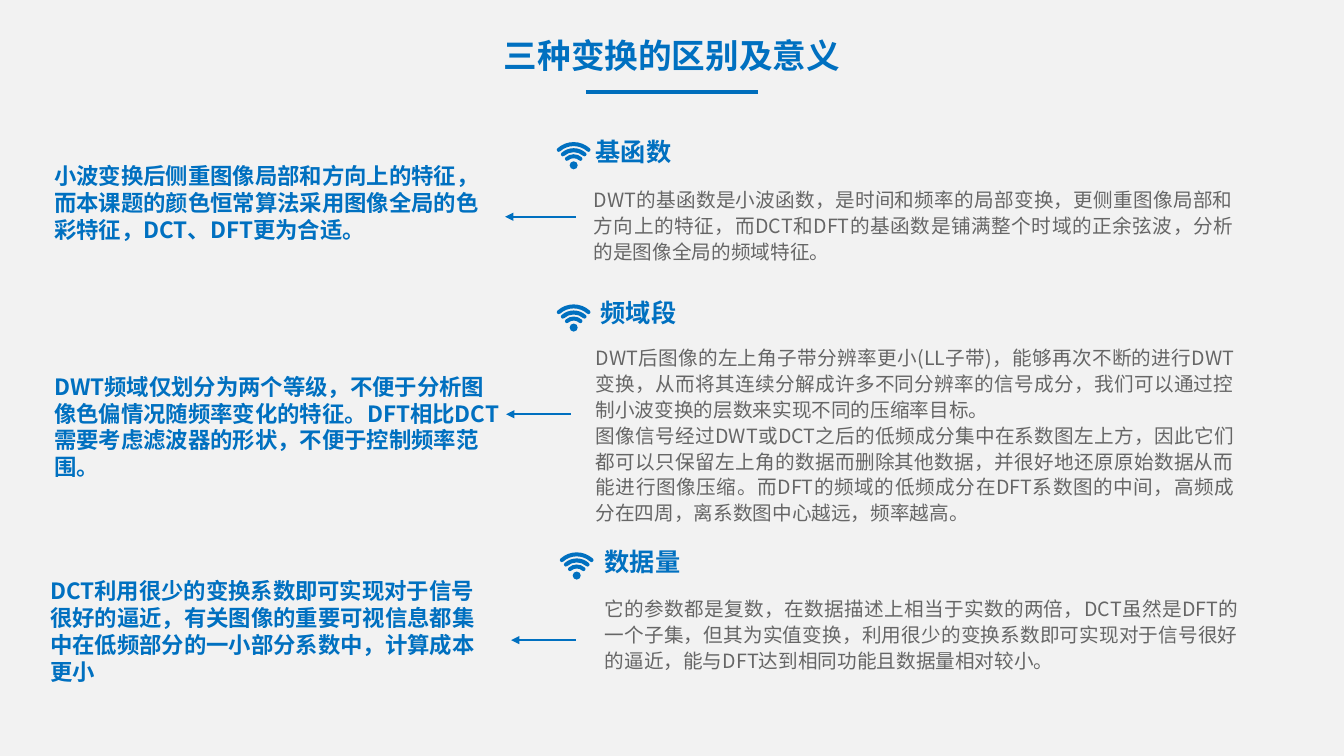
from math import cos, sin, tan, radians
from lxml.etree import SubElement
from pptx import Presentation
from pptx.dml.color import RGBColor
from pptx.enum.shapes import MSO_CONNECTOR, MSO_SHAPE
from pptx.enum.text import MSO_ANCHOR, PP_ALIGN
from pptx.oxml.ns import qn
from pptx.util import Inches, Pt

BLUE = RGBColor(0x00, 0x70, 0xC0)
RULE_BLUE = RGBColor(0x00, 0x6E, 0xBC)
GRAY = RGBColor(0x66, 0x66, 0x66)
BACKGROUND = RGBColor(0xF2, 0xF2, 0xF2)
FONT = "Noto Sans CJK SC"

TITLE = "三种变换的区别及意义"
SECTIONS = [
    {
        "heading": ("基函数", (5.81, 1.3, 2.14, 0.41)),
        "body": ([
            "DWT的基函数是小波函数，是时间和频率的局部变换，更侧重图像局部和方向上的特征，而DCT和DFT的基函数是铺满整个时域的正余弦波，分析的是图像全局的频域特征。",
        ], (5.79, 1.79, 6.54, 0.86)),
        "conclusion": (
            "小波变换后侧重图像局部和方向上的特征，而本课题的颜色恒常算法采用图像全局的色彩特征，DCT、DFT更为合适。",
            (0.44, 1.56, 4.62, 0.91)),
        "icon": (5.69, 1.64),
        "arrow": (5.71, 5.01, 2.15),
    },
    {
        "heading": ("频域段", (5.86, 2.9, 2.79, 0.4)),
        "body": ([
            "DWT后图像的左上角子带分辨率更小(LL子带)，能够再次不断的进行DWT变换，从而将其连续分解成许多不同分辨率的信号成分，我们可以通过控制小波变换的层数来实现不同的压缩率目标。",
            "图像信号经过DWT或DCT之后的低频成分集中在系数图左上方，因此它们都可以只保留左上角的数据而删除其他数据，并很好地还原原始数据从而能进行图像压缩。而DFT的频域的低频成分在DFT系数图的中间，高频成分在四周，离系数图中心越远，频率越高。",
        ], (5.81, 3.36, 6.53, 1.9)),
        "conclusion": (
            "DWT频域仅划分为两个等级，不便于分析图像色偏情况随频率变化的特征。DFT相比DCT需要考虑滤波器的形状，不便于控制频率范围。",
            (0.44, 3.65, 4.62, 1.18)),
        "icon": (5.69, 3.25),
        "arrow": (5.66, 5.02, 4.11),
    },
    {
        "heading": ("数据量", (5.9, 5.37, 2.2, 0.4)),
        "body": ([
            "它的参数都是复数，在数据描述上相当于实数的两倍，DCT虽然是DFT的一个子集，但其为实值变换，利用很少的变换系数即可实现对于信号很好的逼近，能与DFT达到相同功能且数据量相对较小。",
        ], (5.9, 5.85, 6.48, 0.86)),
        "conclusion": (
            "DCT利用很少的变换系数即可实现对于信号很好的逼近，有关图像的重要可视信息都集中在低频部分的一小部分系数中，计算成本更小",
            (0.4, 5.68, 4.62, 1.18)),
        "icon": (5.72, 5.71),
        "arrow": (5.71, 5.07, 6.35),
    },
]

WAVE_RADII = (0.1, 0.16, 0.22)
WAVE_HALF_WIDTH = 0.02
WAVE_HALF_ANGLE = 42
DOT_RADIUS = 0.04


def format_paragraph(paragraph, size, color, bold, alignment, line_spacing=None):
    paragraph.alignment = alignment
    if line_spacing:
        paragraph.line_spacing = line_spacing
    font = paragraph.font
    font.size, font.bold, font.name = Pt(size), bold, FONT
    font.color.rgb = color
    properties = paragraph._p.pPr.find(qn("a:defRPr"))
    SubElement(properties, qn("a:ea")).set("typeface", FONT)


def fill_text(shape, box, paragraphs, size, color, bold=True,
              alignment=PP_ALIGN.LEFT, line_spacing=None):
    shape.left, shape.top, shape.width, shape.height = map(Inches, box)
    frame = shape.text_frame
    frame.word_wrap = True
    frame.vertical_anchor = MSO_ANCHOR.TOP
    frame.text = "\n".join(paragraphs)
    for paragraph in frame.paragraphs:
        format_paragraph(paragraph, size, color, bold, alignment, line_spacing)


def add_text(slide, box, *arguments, **options):
    fill_text(slide.shapes.add_textbox(0, 0, 0, 0), box, *arguments, **options)


def add_line(slide, start, end, color, width, arrow=False):
    line = slide.shapes.add_connector(MSO_CONNECTOR.STRAIGHT, *map(Inches, start + end))
    line.line.color.rgb = color
    line.line.width = Pt(width)
    if arrow:
        SubElement(line.line._get_or_add_ln(), qn("a:tailEnd")).set("type", "triangle")
    SubElement(line._element.spPr, qn("a:effectLst"))


def paint(shape, color):
    shape.shadow.inherit = False
    shape.fill.solid()
    shape.fill.fore_color.rgb = color
    shape.line.fill.background()


def add_backdrop(slide, width, height):
    backdrop = slide.shapes.add_shape(MSO_SHAPE.RECTANGLE, 0, 0, width, height)
    paint(backdrop, BACKGROUND)
    slide.shapes._spTree.insert(2, backdrop._element)


def arc_curve(x, y, radius, first, last):
    first, last = radians(first), radians(last)
    handle = radius * tan((last - first) / 4) * 4 / 3
    start = (x + radius * sin(first), y - radius * cos(first))
    end = (x + radius * sin(last), y - radius * cos(last))
    leaving = (start[0] + handle * cos(first), start[1] + handle * sin(first))
    arriving = (end[0] - handle * cos(last), end[1] - handle * sin(last))
    return [start, leaving, arriving, end]


def add_curved_outline(slide, curves):
    start = curves[0][0]
    points = [point for curve in curves for point in curve[1:]]
    builder = slide.shapes.build_freeform(*map(Inches, start))
    builder.add_line_segments([tuple(map(Inches, point)) for point in points])
    shape = builder.convert_to_shape()
    segments = list(shape._element.iter(qn("a:lnTo")))[:len(points)]
    outline = segments[0].getparent()
    for index in range(0, len(points), 3):
        curve = outline.makeelement(qn("a:cubicBezTo"))
        segments[index].addprevious(curve)
        for segment in segments[index:index + 3]:
            curve.append(segment[0])
            outline.remove(segment)
    return shape


def add_wave(slide, x, y, radius):
    angle = WAVE_HALF_ANGLE
    end_x, end_y = radius * sin(radians(angle)), radius * cos(radians(angle))
    paint(add_curved_outline(slide, [
        arc_curve(x, y, radius + WAVE_HALF_WIDTH, -angle, angle),
        arc_curve(x + end_x, y - end_y, WAVE_HALF_WIDTH, angle, angle + 180),
        arc_curve(x, y, radius - WAVE_HALF_WIDTH, angle, -angle),
        arc_curve(x - end_x, y - end_y, WAVE_HALF_WIDTH, 180 - angle, 360 - angle),
    ]), BLUE)


def add_signal_icon(slide, x, y):
    for radius in WAVE_RADII:
        add_wave(slide, x, y + 0.01, radius)
    paint(add_curved_outline(slide, [
        arc_curve(x, y, DOT_RADIUS, angle, angle + 90) for angle in range(45, 405, 90)
    ]), BLUE)


def main():
    presentation = Presentation()
    presentation.slide_width, presentation.slide_height = Inches(13.33), Inches(7.5)
    slide = presentation.slides.add_slide(presentation.slide_layouts[5])
    add_backdrop(slide, presentation.slide_width, presentation.slide_height)
    fill_text(slide.shapes.title, (4.86, 0.3, 3.61, 0.5), [TITLE], 24, BLUE,
              alignment=PP_ALIGN.CENTER)
    add_line(slide, (5.81, 0.91), (7.52, 0.91), RULE_BLUE, 3)
    for section in SECTIONS:
        heading, heading_box = section["heading"]
        body, body_box = section["body"]
        conclusion, conclusion_box = section["conclusion"]
        start_x, end_x, arrow_y = section["arrow"]
        add_text(slide, body_box, body, 14, GRAY, bold=False,
                 alignment=PP_ALIGN.JUSTIFY, line_spacing=1.1)
        add_text(slide, heading_box, [heading], 18, BLUE)
        add_signal_icon(slide, *section["icon"])
        add_text(slide, conclusion_box, [conclusion], 16, BLUE)
        add_line(slide, (start_x, arrow_y), (end_x, arrow_y), BLUE, 1.5, arrow=True)
    presentation.save("out.pptx")


if __name__ == "__main__":
    main()
